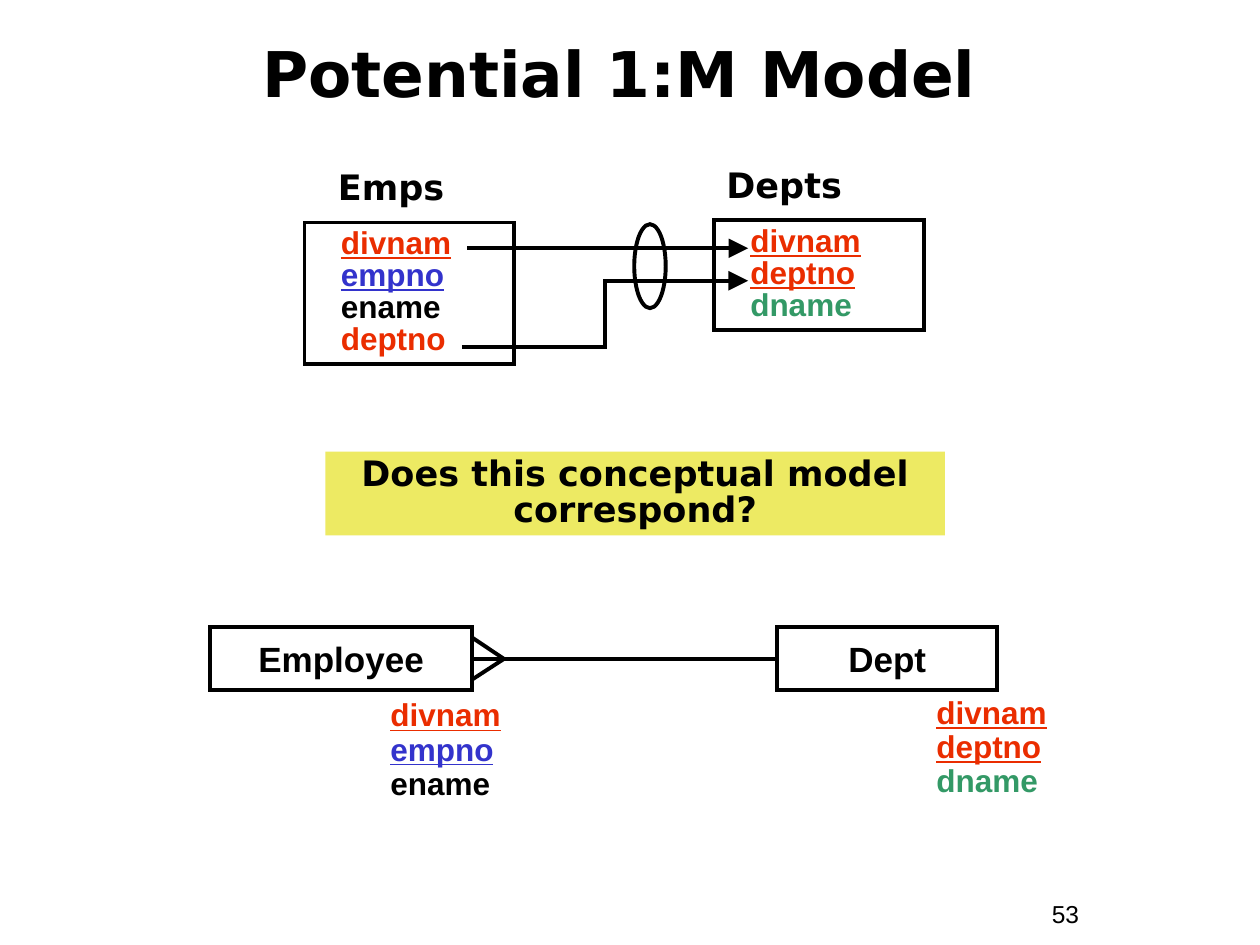
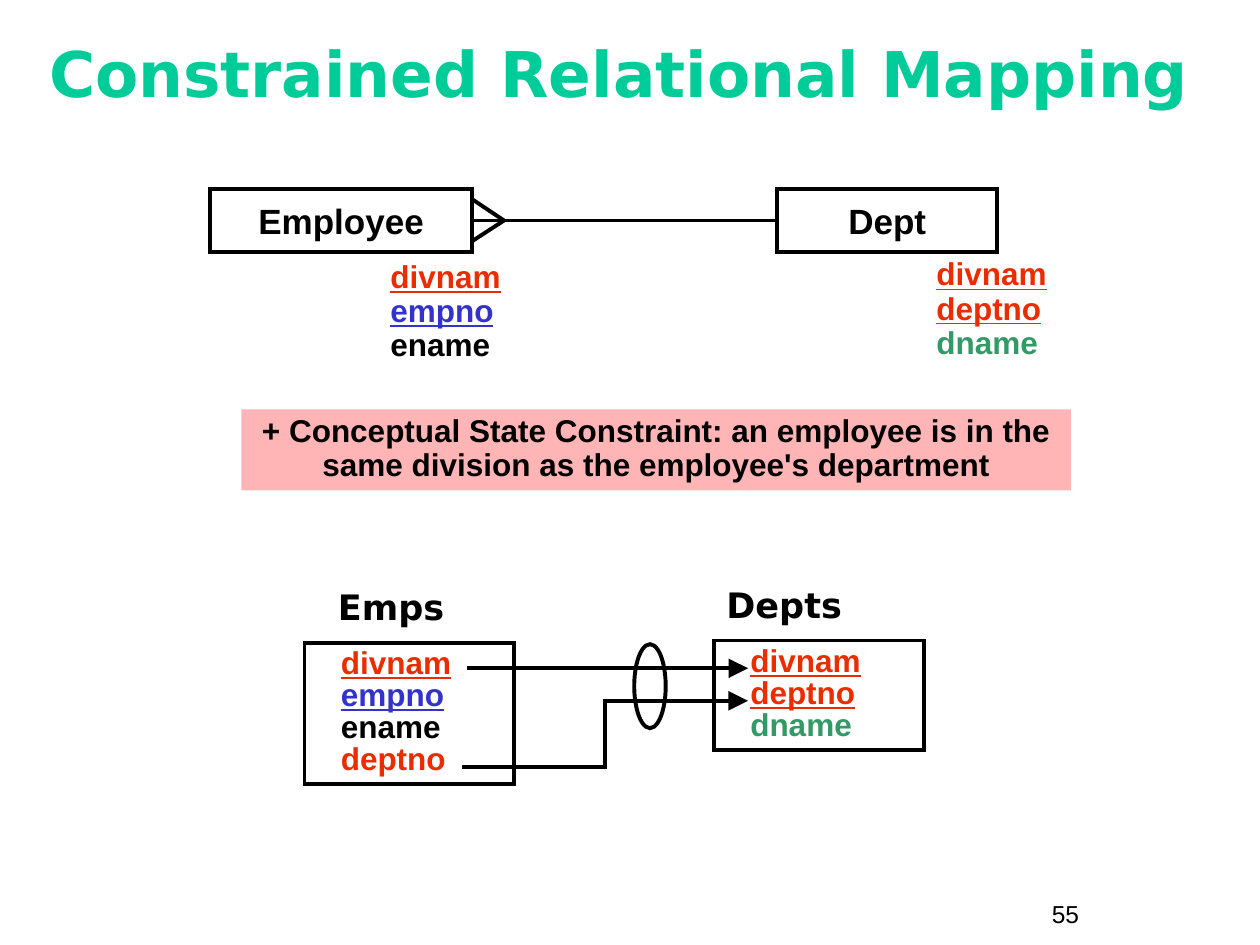
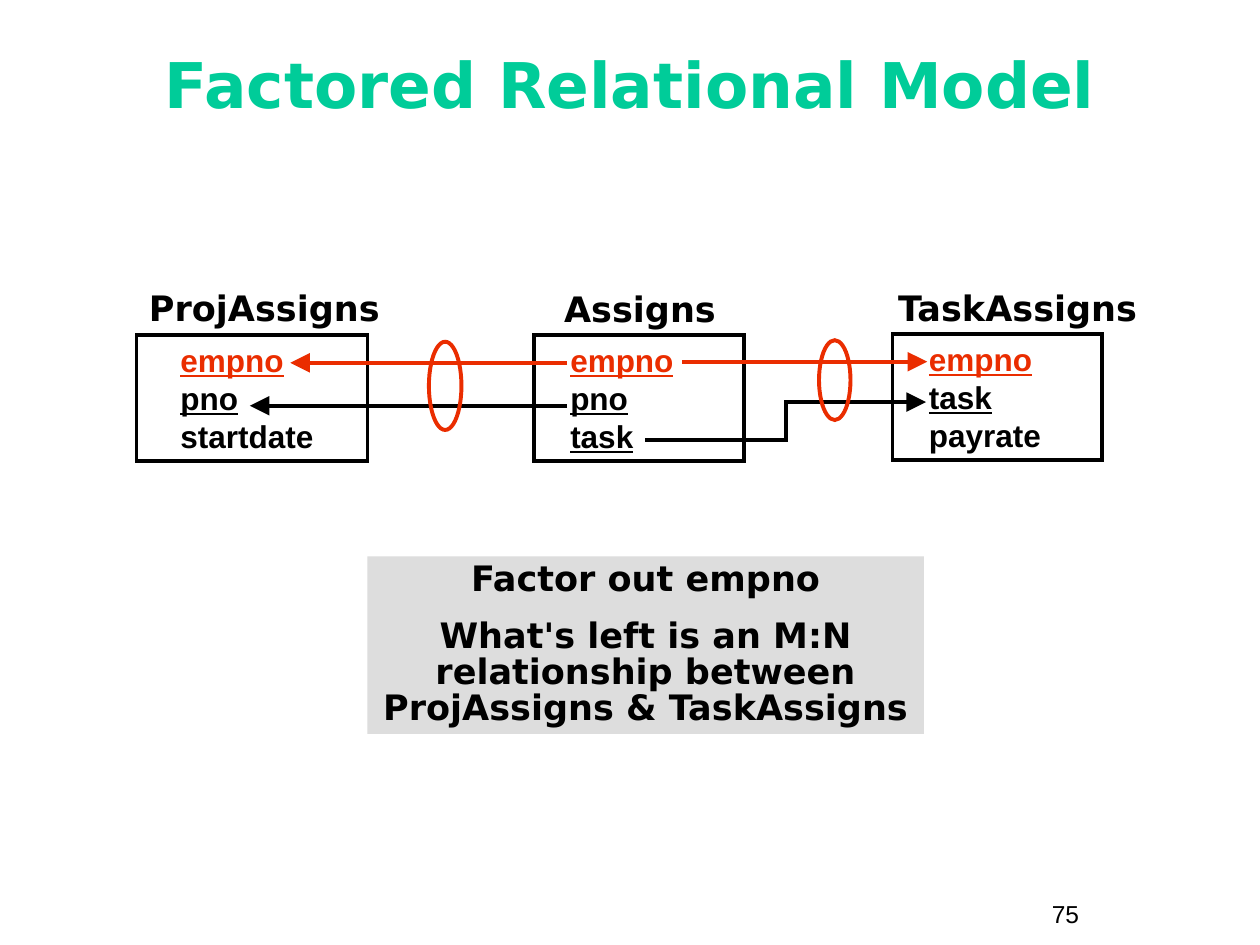
import pptx
import pptx.util
import pptx.dml.color
import pptx.enum.shapes
import pptx.enum.text
import pptx.oxml
import pptx.oxml.ns

COLS, ROWS = 120, 90
WIDE, HIGH = pptx.util.Inches(10), pptx.util.Inches(7.5)
HUES = {
    "black": "000000", "red": "EA2D00", "blue": "3333CC", "green": "339966",
    "teal": "00CC99", "yellow": "EDEA63", "pink": "FFB5B5", "grey": "DDDDDD",
}
HEAD, BODY = "DejaVu Sans", "Arial"
LINE = pptx.util.Pt(2.25)
FORM = pptx.enum.shapes.MSO_SHAPE
BEND = pptx.enum.shapes.MSO_CONNECTOR
ALIGN = pptx.enum.text.PP_ALIGN
ANCHOR = pptx.enum.text.MSO_ANCHOR

DIV = ("divnam", "red", True)
EMP = [DIV, ("empno", "blue", True), ("ename", "black", False)]
DEPT = [DIV, ("deptno", "red", True), ("dname", "green", False)]
LINK = ("deptno", "red", False)
SHARED = ("empno", "red", True)


def hue(name):
    return pptx.dml.color.RGBColor.from_string(HUES[name])


def col(n):
    return round(n * WIDE / COLS)


def row(n):
    return round(n * HIGH / ROWS)


def frame(x, y, w, h):
    return col(x), row(y), col(w), row(h)


def plain(text, color="black"):
    return [(text, color, False)]


def node(tag, rest=""):
    return pptx.oxml.parse_xml(f'<a:{tag} {pptx.oxml.ns.nsdecls("a")} {rest}/>')


def stroke(shape, color, *extras):
    shape.line.color.rgb = hue(color)
    shape.line.width = LINE
    outline = shape.element.spPr.find(pptx.oxml.ns.qn("a:ln"))
    outline.append(node("miter", 'lim="800000"'))
    outline.extend(extras)


def write(shape, lines, font, size, align=ALIGN.LEFT, anchor=ANCHOR.TOP,
          lead=1.0, before=0, indent=0, bold=True):
    body = shape.text_frame
    body.word_wrap = True
    body.auto_size = pptx.enum.text.MSO_AUTO_SIZE.NONE
    body.vertical_anchor = anchor
    body.text = "\n".join(text for text, _, _ in lines)
    for i, (para, (_, color, key)) in enumerate(zip(body.paragraphs, lines)):
        para.alignment = align
        para.line_spacing = lead
        para.space_before = pptx.util.Pt(before if i else 0)
        if indent:
            props = para._p.get_or_add_pPr()
            props.set("marL", str(pptx.util.Inches(indent)))
            props.set("indent", "0")
        for run in para.runs:
            run.font.name = font
            run.font.size = pptx.util.Pt(size)
            run.font.bold = bold
            run.font.underline = key
            run.font.color.rgb = hue(color)


def label(slide, box, lines, font=BODY, size=18, **style):
    write(slide.shapes.add_textbox(*frame(*box)), lines, font, size, **style)


def draw(slide, box, form=FORM.RECTANGLE, fill=None, line=None):
    shape = slide.shapes.add_shape(form, *frame(*box))
    shape.shadow.inherit = False
    if fill:
        shape.fill.solid()
        shape.fill.fore_color.rgb = hue(fill)
    else:
        shape.fill.background()
    if line:
        stroke(shape, line)
    else:
        shape.line.fill.background()
    return shape


def join(slide, start, end, color="black", kind=BEND.STRAIGHT, arrow=False):
    wire = slide.shapes.add_connector(
        kind, col(start[0]), row(start[1]), col(end[0]), row(end[1]))
    tips = [node("tailEnd", 'type="triangle" w="lg" len="lg"')] if arrow else []
    stroke(wire, color, *tips)
    wire.element.spPr.append(node("effectLst"))


def ring(slide, box, color="black"):
    draw(slide, box, FORM.OVAL, line=color)


def start(deck, title, number, color="teal", box=(3, 2, 114, 11)):
    slide = deck.slides.add_slide(deck.slide_layouts[5])
    head = slide.shapes.title
    head.left, head.top, head.width, head.height = frame(*box)
    write(head, plain(title, color), HEAD, 36, ALIGN.CENTER,
          ANCHOR.MIDDLE, lead=0.85)
    label(slide, (99, 85, 11, 4), plain(number), size=14, bold=False)
    return slide


def table(slide, box, name, fields, shift, width, gap, lead=1.0, indent=0.19):
    x, y, _, _ = box
    label(slide, (x + shift, y - gap, width, 5.25), plain(name), HEAD, 20)
    write(draw(slide, box, line="black"), fields, BODY, 18,
          lead=lead, indent=indent)


def note(slide, box, texts, fill, font=HEAD, size=20, lead=0.85):
    lines = [(text, "black", False) for text in texts]
    write(draw(slide, box, fill=fill), lines, font, size, ALIGN.CENTER,
          lead=lead, before=12.5)


def schema(slide, x, y):
    table(slide, (x + 39, y + 6, 20, 10.45), "Depts", DEPT, 0, 20, 6, 0.85)
    table(slide, (x, y + 6.2, 20, 13.5), "Emps", EMP + [LINK], 2, 18, 6, 0.85)
    join(slide, (x + 15.5, y + 8.65), (x + 42.25, y + 8.65), arrow=True)
    join(slide, (x + 15, y + 18.05), (x + 42.25, y + 11.75),
         kind=BEND.ELBOW, arrow=True)
    ring(slide, (x + 31.4, y + 6.35, 3, 8))


def model(slide, x, y):
    for name, left, width in (("Dept", 54, 21), ("Employee", 0, 25)):
        write(draw(slide, (x + left, y, width, 6), line="black"), plain(name),
              BODY, 20, ALIGN.CENTER, ANCHOR.MIDDLE)
    join(slide, (x + 53.8, y + 3), (x + 25.1, y + 3))
    label(slide, (x + 68, y + 6.05, 17, 10.9), DEPT, lead=0.9)
    label(slide, (x + 16, y + 6.3, 20, 10.9), EMP, lead=0.9)
    for toe in (1, 4.95):
        join(slide, (x + 28, y + 3), (x + 25, y + toe))


def factors(slide, x, y):
    key, task = ("pno", "black", True), ("task", "black", True)
    table(slide, (x + 37.85, y, 20, 12), "Assigns",
          [SHARED, key, task], 1.7, 18, 5.15)
    table(slide, (x, y, 22, 12), "ProjAssigns",
          [SHARED, key, ("startdate", "black", False)], 0, 27, 5.25,
          indent=0.25)
    table(slide, (x + 72, y - 0.1, 20, 12), "TaskAssigns",
          [SHARED, task, ("payrate", "black", False)], -0.65, 27, 5.15)
    join(slide, (x + 41, y + 2.65), (x + 14.65, y + 2.65), "red", arrow=True)
    join(slide, (x + 41, y + 6.75), (x + 10.8, y + 6.75), arrow=True)
    ring(slide, (x + 27.85, y + 0.65, 3.1, 8.4), "red")
    join(slide, (x + 52, y + 2.55), (x + 75.3, y + 2.55), "red", arrow=True)
    join(slide, (x + 48.45, y + 10), (x + 75.2, y + 6.4),
         kind=BEND.ELBOW, arrow=True)
    ring(slide, (x + 65, y + 0.5, 3, 7.6), "red")


def main():
    deck = pptx.Presentation()
    deck.slide_width, deck.slide_height = WIDE, HIGH

    slide = start(deck, "Potential 1:M Model ", "53", "black")
    schema(slide, 29, 15)
    model(slide, 20, 59.75)
    note(slide, (31, 43, 59, 8),
         ["Does this conceptual model correspond?"], "yellow")

    slide = start(deck, "Constrained Relational Mapping ", "55")
    note(slide, (23, 39, 79, 7.7),
         ["+ Conceptual State Constraint: an employee is in the same division "
          "as the employee's department"], "pink", BODY, 18, 0.9)
    model(slide, 20, 18)
    schema(slide, 29, 55)

    slide = start(deck, "Factored Relational Model", "75", box=(4, 4, 112, 9))
    factors(slide, 13, 31.9)
    note(slide, (35, 53, 53, 16.9),
         ["Factor out empno", "What's left is an M:N relationship between "
          "ProjAssigns & TaskAssigns"], "grey")

    deck.save("out.pptx")


if __name__ == "__main__":
    main()
